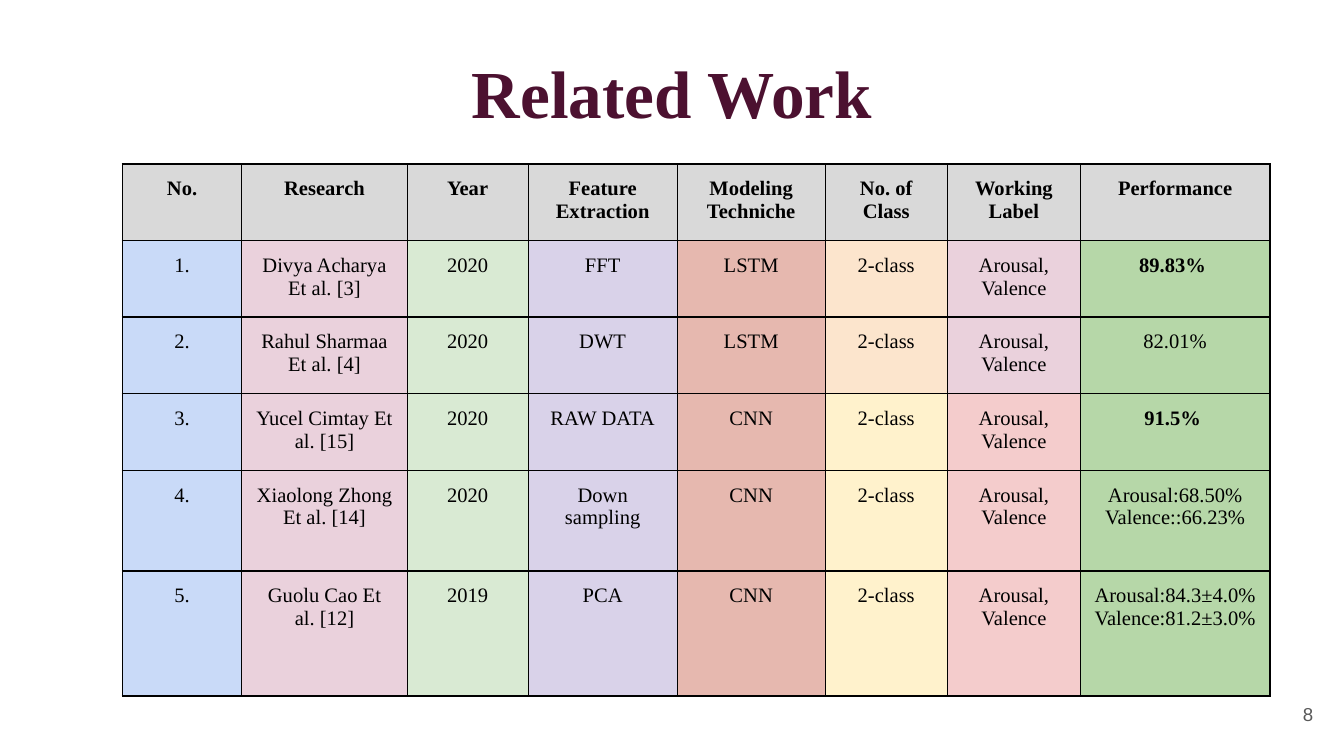
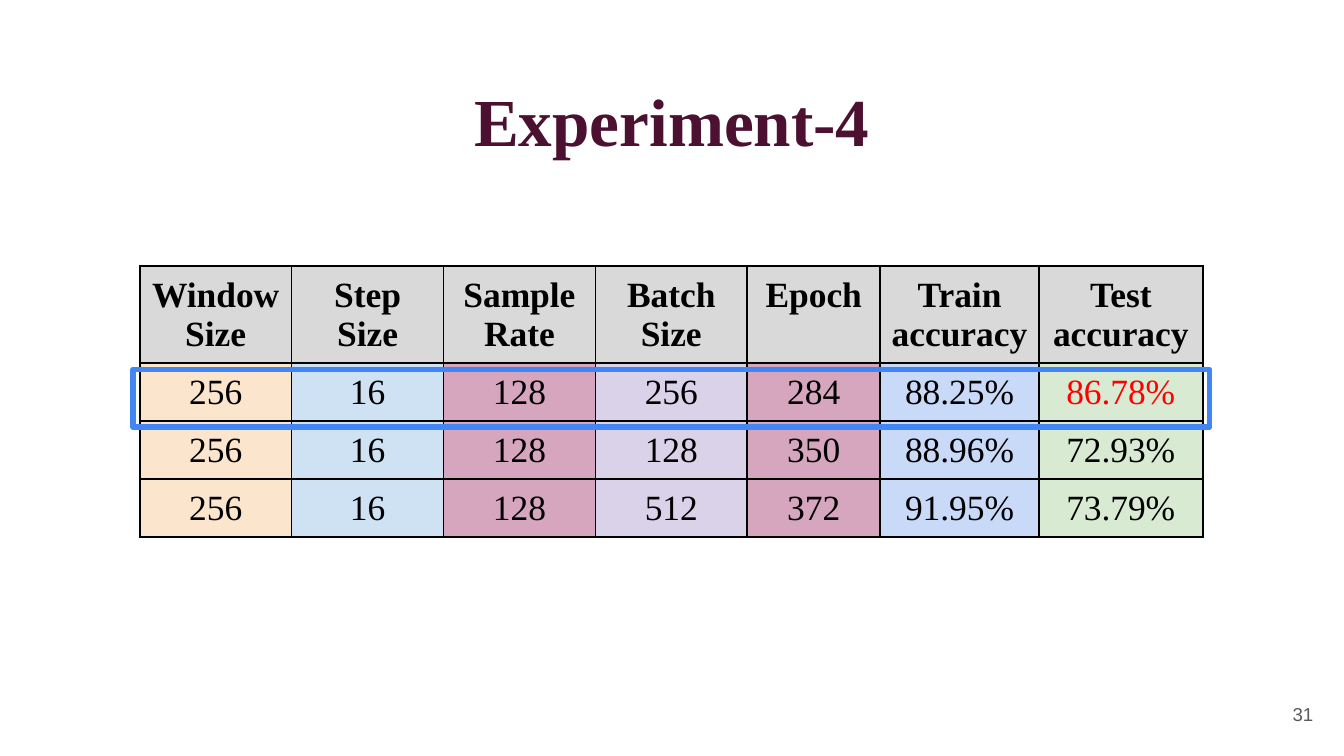
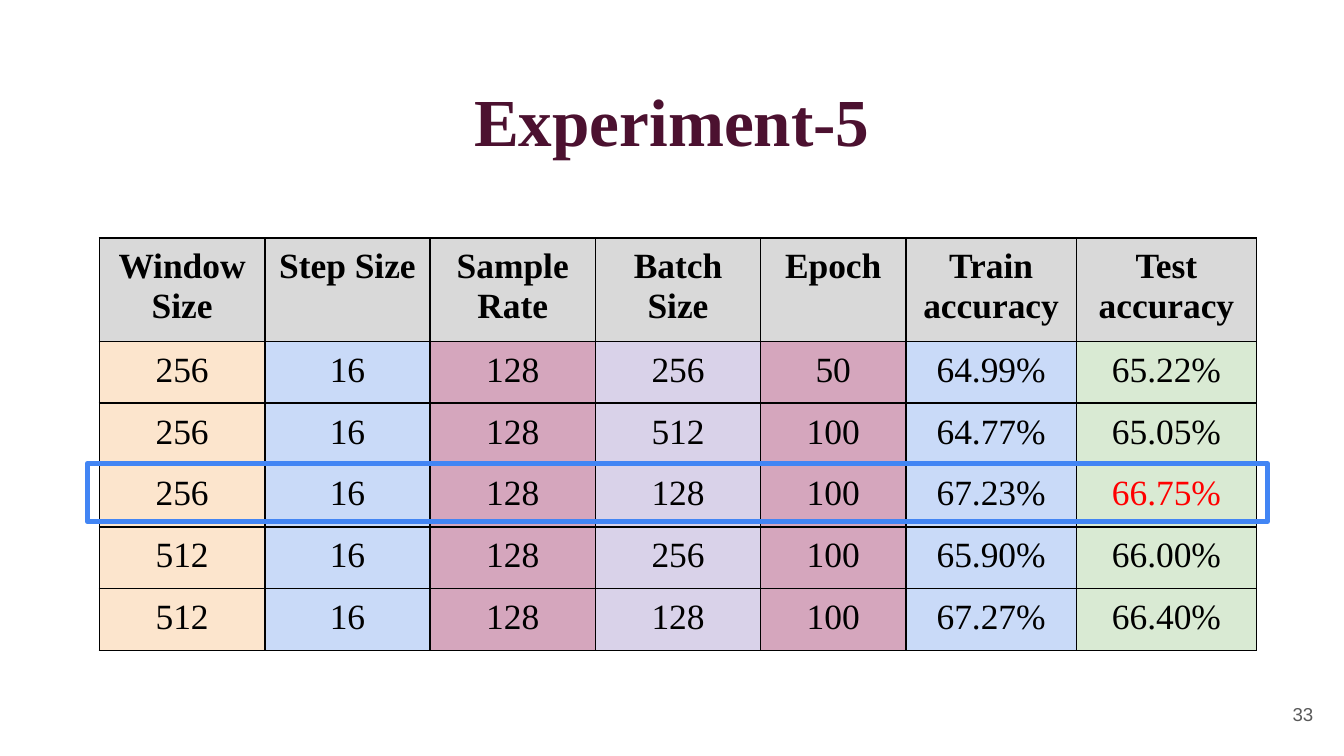
import pptx
import pptx.dml.color
import pptx.enum.shapes
import pptx.enum.text
import pptx.oxml.ns
import pptx.util
from lxml import etree

Inches = pptx.util.Inches
Pt = pptx.util.Pt
ALIGN = pptx.enum.text.PP_ALIGN
ANCHOR = pptx.enum.text.MSO_ANCHOR

COLORS = {
    "title": "4C1130", "page": "595959", "text": "000000", "best": "FF0000",
    "frame": "4285F4", "head": "D9D9D9", "blue": "C9DAF8", "sky": "CFE2F3",
    "pink": "EAD1DC", "rose": "F4CCCC", "mauve": "D5A6BD", "lilac": "D9D2E9",
    "brick": "E6B8AF", "peach": "FCE5CD", "cream": "FFF2CC",
    "mint": "D9EAD3", "green": "B6D7A8",
}
SERIF = "Times New Roman"

# Related work: fills by column, with two columns changing at row 3
WORK_HEAD = ["No.", "Research", "Year", "Feature Extraction", "Modeling Techniche",
             "No. of Class", "Working Label", "Performance"]
LABEL = "Arousal,\nValence"
WORK_ROWS = [
    ["1.", "Divya Acharya Et al. [3]", "2020", "FFT", "LSTM", "2-class", LABEL, "89.83% "],
    ["2.", "Rahul Sharmaa Et al. [4]", "2020", "DWT", "LSTM", "2-class", LABEL, "82.01%"],
    ["3.", "Yucel Cimtay Et al. [15]", "2020", "RAW DATA", "CNN", "2-class", LABEL, "91.5% "],
    ["4.", "Xiaolong Zhong Et al. [14]", "2020", "Down sampling", "CNN", "2-class", LABEL,
     "Arousal:68.50%\nValence::66.23%"],
    ["5.", "Guolu Cao Et al. [12]", "2019", "PCA", "CNN", "2-class", LABEL,
     "Arousal:84.3±4.0%\nValence:81.2±3.0%"],
]
WORK_TOP = ["blue", "pink", "mint", "lilac", "brick", "peach", "pink", "green"]
WORK_LOW = ["blue", "pink", "mint", "lilac", "brick", "cream", "rose", "green"]

# Experiments: shared heading row
TEST_HEAD = ["Window Size", "Step Size", "Sample Rate", "Batch Size", "Epoch",
             "Train accuracy", "Test\naccuracy"]
FOUR_ROWS = [
    ["256", "16", "128", "256", "284", "88.25%", "86.78%"],
    ["256", "16", "128", "128", "350", "88.96%", "72.93%"],
    ["256", "16", "128", "512", "372", "91.95%", "73.79%"],
]
FIVE_ROWS = [
    ["256", "16", "128", "256", "50", "64.99%", "65.22%"],
    ["256", "16", "128", "512", "100", "64.77%", "65.05%"],
    ["256", "16", "128", "128", "100", "67.23%", "66.75%"],
    ["512", "16", "128", "256", "100", "65.90%", "66.00%"],
    ["512", "16", "128", "128", "100", "67.27%", "66.40%"],
]


def rgb(name):
    return pptx.dml.color.RGBColor.from_string(COLORS[name])


def style(para, size, color, face=SERIF, bold=False, align=ALIGN.CENTER):
    para.alignment = align
    para.font.name = face
    para.font.size = Pt(size)
    para.font.bold = bold
    para.font.color.rgb = rgb(color)


def pad(frame, anchor):
    frame.margin_left = frame.margin_right = Inches(0.1)
    frame.margin_top = frame.margin_bottom = Inches(0.1)
    frame.vertical_anchor = anchor
    frame.word_wrap = True
    frame.auto_size = pptx.enum.text.MSO_AUTO_SIZE.NONE


def add_page(deck, title, top, number):
    """Add a slide with its title and page number."""
    slide = deck.slides.add_slide(deck.slide_layouts[5])
    head = slide.shapes.title
    head.left, head.top = Inches(0.34), Inches(top)
    head.width, head.height = Inches(9.32), Inches(0.63)
    head.text_frame.text = title
    pad(head.text_frame, ANCHOR.TOP)
    style(head.text_frame.paragraphs[0], 36, "title", bold=True)

    page = slide.shapes.add_textbox(Inches(9.27), Inches(5.1), Inches(0.6), Inches(0.43))
    page.text_frame.text = str(number)
    pad(page.text_frame, ANCHOR.MIDDLE)
    style(page.text_frame.paragraphs[0], 10, "page", "Arial", align=ALIGN.RIGHT)
    return slide


def add_borders(cell, width):
    props = cell._tc.get_or_add_tcPr()
    for side in ("a:lnL", "a:lnR", "a:lnT", "a:lnB"):
        line = etree.SubElement(props, pptx.oxml.ns.qn(side), w=str(Pt(width)))
        fill = etree.SubElement(line, pptx.oxml.ns.qn("a:solidFill"))
        etree.SubElement(fill, pptx.oxml.ns.qn("a:srgbClr"), val=COLORS["text"])


def add_grid(slide, left, top, widths, heights, rows, fills, size, inset, border, marks):
    """Add a table; marks maps (row, column) to font settings that differ."""
    table = slide.shapes.add_table(
        len(rows), len(widths), Inches(left), Inches(top),
        Inches(sum(widths)), Inches(sum(heights))).table
    table.first_row = table.horz_banding = False
    for column, width in zip(table.columns, widths):
        column.width = Inches(width)
    for r, (row, height) in enumerate(zip(rows, heights)):
        table.rows[r].height = Inches(height)
        for c, text in enumerate(row):
            cell = table.cell(r, c)
            cell.text = text
            cell.margin_left = cell.margin_right = Inches(inset)
            cell.margin_top = cell.margin_bottom = Inches(inset)
            add_borders(cell, border)
            cell.fill.solid()
            cell.fill.fore_color.rgb = rgb(fills[r][c])
            look = {"color": "text", "bold": r == 0, **marks.get((r, c), {})}
            for para in cell.text_frame.paragraphs:
                style(para, size, **look)


def add_frame(slide, left, top, width):
    """Outline the best row."""
    frame = slide.shapes.add_shape(
        pptx.enum.shapes.MSO_SHAPE.RECTANGLE,
        Inches(left), Inches(top), Inches(width), Inches(0.43))
    frame.shadow.inherit = False
    frame.fill.background()
    frame.line.color.rgb = rgb("frame")
    frame.line.width = Pt(3)


def add_work(deck):
    slide = add_page(deck, "Related Work", 0.19, 8)
    para = slide.shapes.title.text_frame.paragraphs[0]
    para.line_spacing = 1.15
    para.space_after = Pt(12)
    fills = [["head"] * 8] + [WORK_TOP] * 2 + [WORK_LOW] * 3
    add_grid(slide, 0.91, 1.22, [0.89, 1.23, 0.9, 1.11, 1.1, 0.91, 0.99, 1.41],
             [0.57] * 4 + [0.75, 0.93], [WORK_HEAD] + WORK_ROWS, fills,
             11, 0.1, 0.75, {(1, 7): {"bold": True}, (3, 7): {"bold": True}})


def add_test(deck, title, number, left, top, widths, heights, rows, step, best, frame):
    slide = add_page(deck, title, 0.49, number)
    body = ["peach", step, "mauve", "lilac", "mauve", "blue", "mint"]
    add_grid(slide, left, top, widths, heights, [TEST_HEAD] + rows,
             [["head"] * 7] + [body] * len(rows), 19, 0.07, 1,
             {(best, 6): {"color": "best"}})
    add_frame(slide, *frame)


def main():
    deck = pptx.Presentation()
    # Widescreen, 16 to 9
    deck.slide_width = Inches(10)
    deck.slide_height = Inches(10) * 9 // 16
    add_work(deck)
    add_test(deck, "Experiment-4", 31, 1.04, 1.98, [1.13] * 4 + [0.99, 1.18, 1.22],
             [0.42] * 4, FOUR_ROWS, "sky", 1, (0.99, 2.75, 8.01))
    add_test(deck, "Experiment-5", 33, 0.74, 1.77, [1.23] * 4 + [1.08, 1.27, 1.34],
             [0.77] + [0.46] * 5, FIVE_ROWS, "blue", 3, (0.65, 3.45, 8.78))
    deck.save("out.pptx")


if __name__ == "__main__":
    main()
